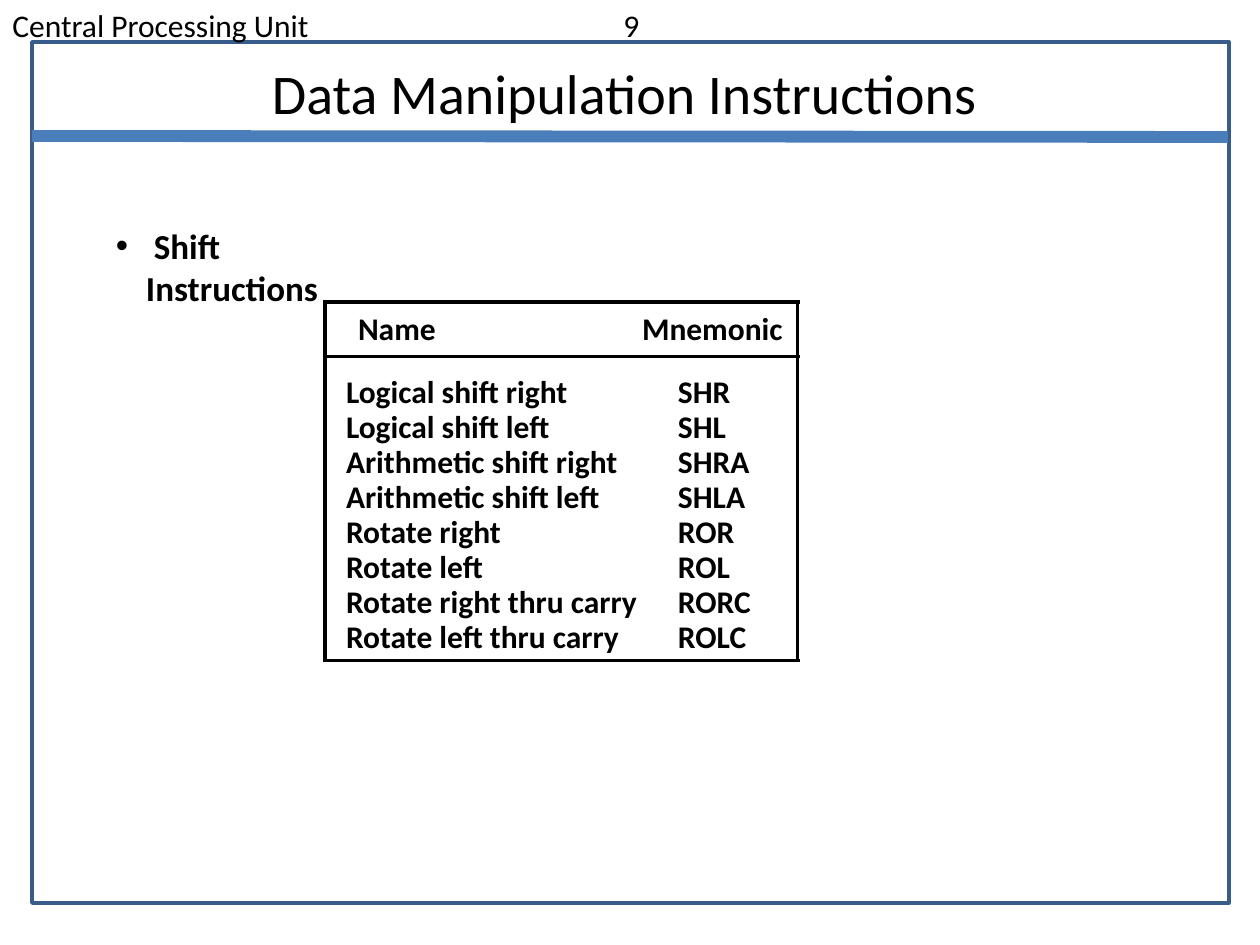
import lxml.etree
import pptx
import pptx.dml.color
import pptx.enum.shapes
import pptx.enum.text
import pptx.oxml.ns
import pptx.util

EMU_PER_PX = 914400 / 126
BLACK = pptx.dml.color.RGBColor(0x00, 0x00, 0x00)
FRAME_BLUE = pptx.dml.color.RGBColor(0x38, 0x5D, 0x8A)
RULE_BLUE = pptx.dml.color.RGBColor(0x4A, 0x7E, 0xBB)
ALIGN = pptx.enum.text.PP_ALIGN
ANCHOR = pptx.enum.text.MSO_ANCHOR
SHIFTS = [
    ("Logical shift right", "SHR"),
    ("Logical shift left", "SHL"),
    ("Arithmetic shift right", "SHRA"),
    ("Arithmetic shift left", "SHLA"),
    ("Rotate right", "ROR"),
    ("Rotate left", "ROL"),
    ("Rotate right thru carry", "RORC"),
    ("Rotate left thru carry", "ROLC"),
]


def px(length):
    return pptx.util.Emu(round(length * EMU_PER_PX))


def apply(target, values):
    for key, value in values.items():
        setattr(target, key, value)


def add_xml(parent, tag, **attributes):
    return lxml.etree.SubElement(parent, pptx.oxml.ns.qn(tag), attributes)


class SlideBuilder:
    font_name = "Calibri"

    def __init__(self, slide):
        self.slide = slide

    def style(self, paragraph, size, bold=False, **layout):
        apply(paragraph, layout)
        apply(paragraph.font, {"name": self.font_name, "size": pptx.util.Pt(size), "bold": bold})
        paragraph.font.color.rgb = BLACK

    def frame(self, left, top, width, height, color, weight):
        border = self.slide.shapes.add_shape(
            pptx.enum.shapes.MSO_SHAPE.RECTANGLE, px(left), px(top), px(width), px(height))
        border.shadow.inherit = False
        border.fill.background()
        border.line.color.rgb = color
        border.line.width = pptx.util.Pt(weight)

    def rule(self, start, end, color, weight):
        line = self.slide.shapes.add_connector(
            pptx.enum.shapes.MSO_CONNECTOR.STRAIGHT, *map(px, start + end))
        line.line.color.rgb = color
        line.line.width = pptx.util.Pt(weight)
        add_xml(line._element.spPr, "a:effectLst")

    def running_head(self, text, left, top, width, height, tab):
        head = self.slide.shapes.add_textbox(px(left), px(top), px(width), px(height))
        head.text_frame.word_wrap = True
        paragraph = head.text_frame.paragraphs[0]
        paragraph.text = text
        tabs = add_xml(paragraph._p.get_or_add_pPr(), "a:tabLst")
        add_xml(tabs, "a:tab", pos=str(px(tab)), algn="l")
        self.style(paragraph, 18)

    def placeholder(self, index, text, box, margins):
        holder = self.slide.placeholders[index]
        apply(holder, dict(zip(("left", "top", "width", "height"), map(px, box))))
        sides = ("margin_left", "margin_top", "margin_right", "margin_bottom")
        apply(holder.text_frame, dict(zip(sides, map(px, margins))))
        apply(holder.text_frame, {
            "text": text,
            "word_wrap": True,
            "auto_size": pptx.enum.text.MSO_AUTO_SIZE.NONE,
            "vertical_anchor": ANCHOR.TOP,
        })
        return holder.text_frame.paragraphs[0]

    def title(self, text, box):
        paragraph = self.placeholder(0, text, box, (13, 6, 13, 6))
        self.style(paragraph, 32, alignment=ALIGN.CENTER)

    def bullet(self, text, box, indent):
        paragraph = self.placeholder(1, text, box, (9, 4, 9, 4))
        properties = paragraph._p.get_or_add_pPr()
        properties.set("marL", str(px(indent)))
        properties.set("indent", str(-px(indent)))
        add_xml(properties, "a:buChar", char="•")
        self.style(paragraph, 20, True, space_before=pptx.util.Pt(0))

    def cell(self, cell, text, left, top, anchor, borders):
        apply(cell, {
            "text": text,
            "margin_left": px(left),
            "margin_top": px(top),
            "margin_right": 0,
            "margin_bottom": 0,
            "vertical_anchor": anchor,
        })
        self.style(cell.text_frame.paragraphs[0], 18, True, line_spacing=0.91)
        properties = cell._tc.get_or_add_tcPr()
        for side in "LRTB":
            edge = add_xml(properties, f"a:ln{side}", w=str(pptx.util.Pt(2)))
            if side in borders:
                add_xml(add_xml(edge, "a:solidFill"), "a:srgbClr", val=str(BLACK))
            else:
                add_xml(edge, "a:noFill")
        cell.fill.background()

    def table(self, header, rows, left, top, widths, heights):
        table = self.slide.shapes.add_table(
            len(rows) + 1, len(widths), px(left), px(top), px(sum(widths)), px(sum(heights))).table
        apply(table, {"first_row": False, "horz_banding": False})
        for column, width in zip(table.columns, widths):
            column.width = px(width)
        for row, height in zip(table.rows, heights):
            row.height = px(height)
        for r, values in enumerate([header] + rows):
            for c, value in enumerate(values):
                borders = "LR"[c]
                if r == 0:
                    borders += "TB"
                elif r == 1:
                    borders += "T"
                elif r == len(rows):
                    borders += "B"
                inset = (21, 36)[c] if r else (33, 0)[c]
                anchor = ANCHOR.TOP if r else ANCHOR.MIDDLE
                self.cell(table.cell(r, c), value, inset, 19 if r == 1 else 0, anchor, borders)


def main():
    presentation = pptx.Presentation()
    presentation.slide_width = px(1260)
    presentation.slide_height = px(945)
    builder = SlideBuilder(presentation.slides.add_slide(presentation.slide_layouts[1]))
    builder.frame(32, 42, 1197, 861, FRAME_BLUE, 2)
    builder.running_head("Central Processing Unit\t9", 0, 0, 1260, 52, 611)
    builder.rule((32, 136), (1228, 137), RULE_BLUE, 6.75)
    builder.title("Data Manipulation Instructions", (94, 53, 1061, 81))
    builder.bullet(" Shift Instructions", (107, 220, 290, 90), 30)
    heights = [55, 54] + [35] * (len(SHIFTS) - 2) + [40]
    builder.table(("Name", "Mnemonic"), SHIFTS, 325, 302, (317, 156), heights)
    presentation.save("out.pptx")


if __name__ == "__main__":
    main()
